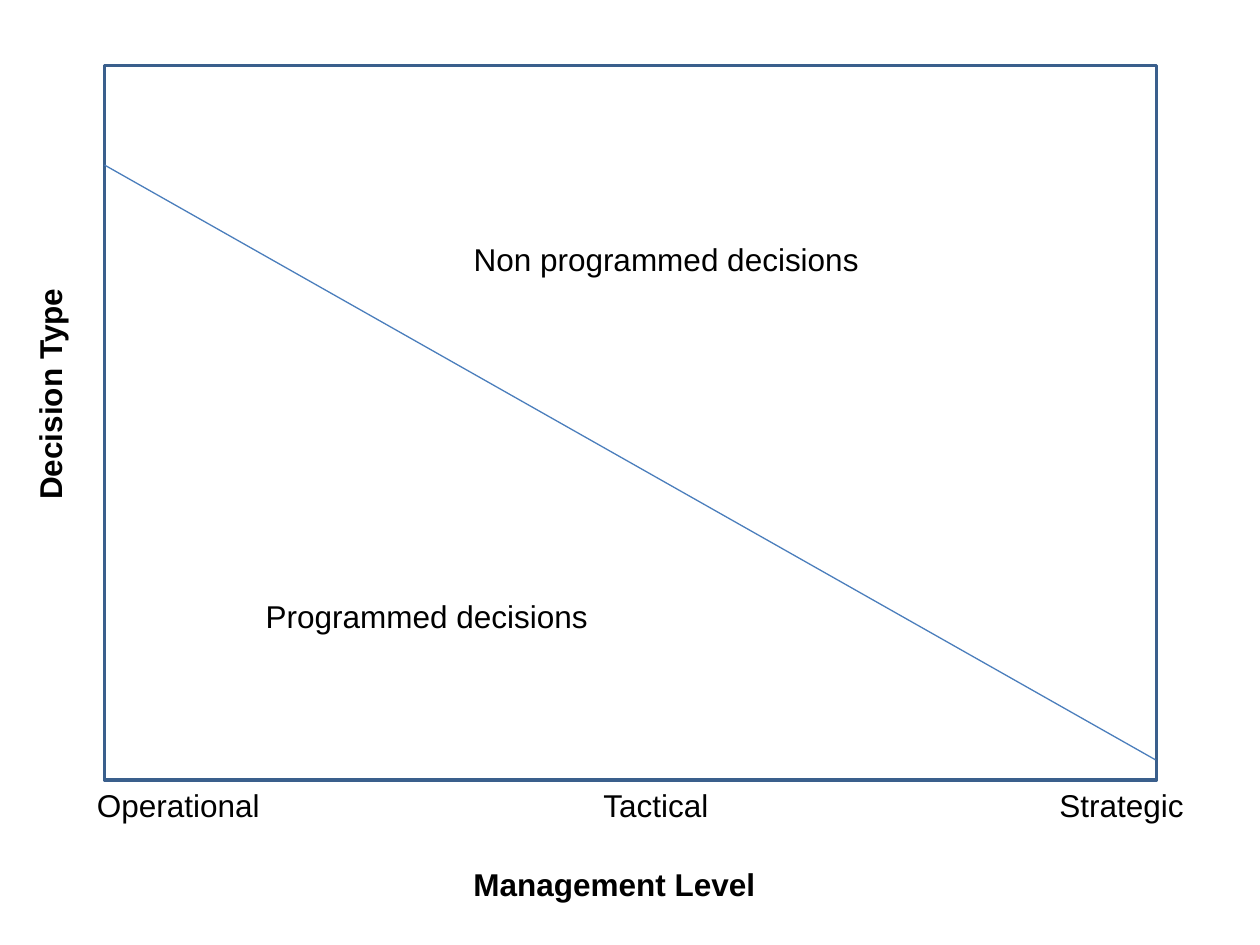
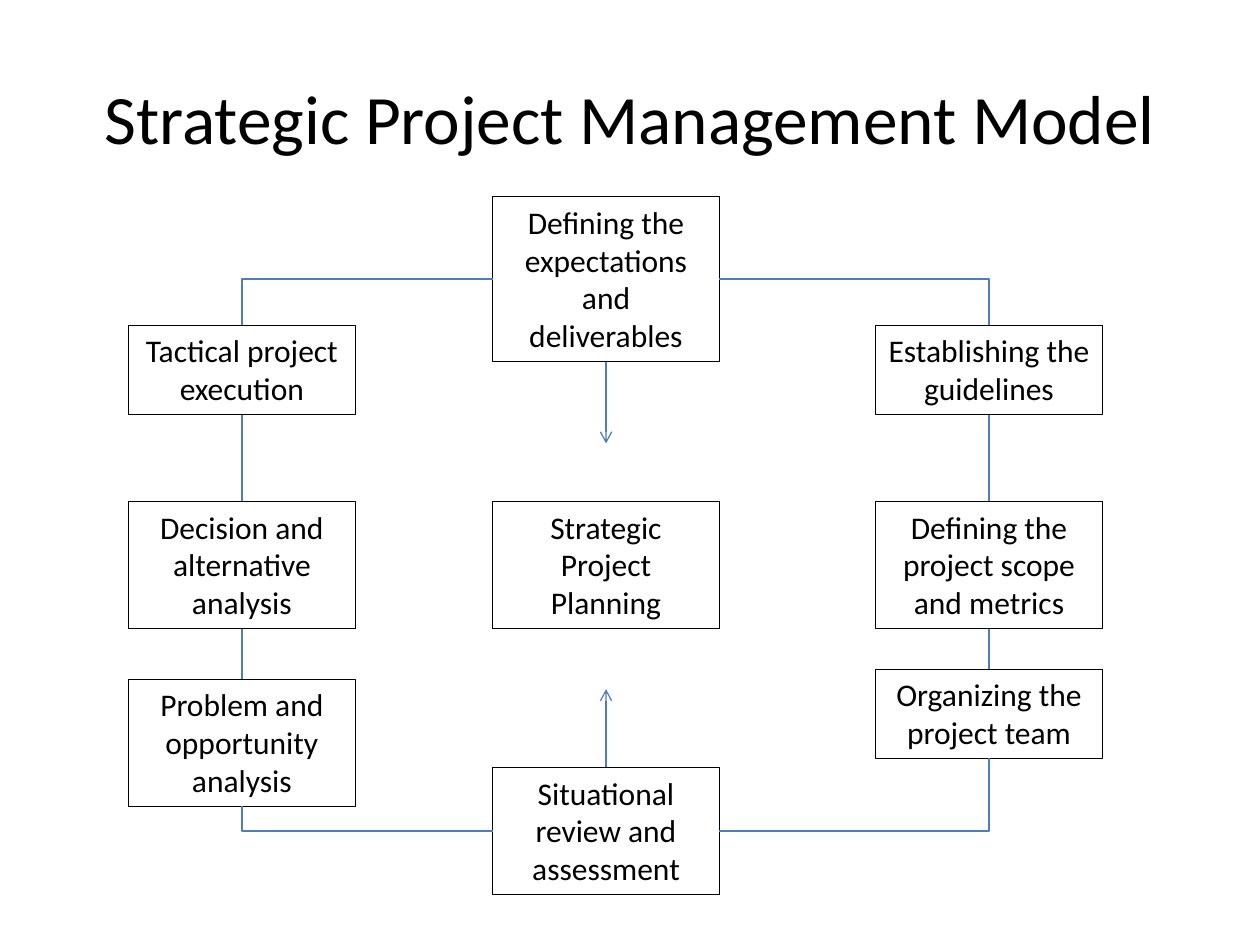
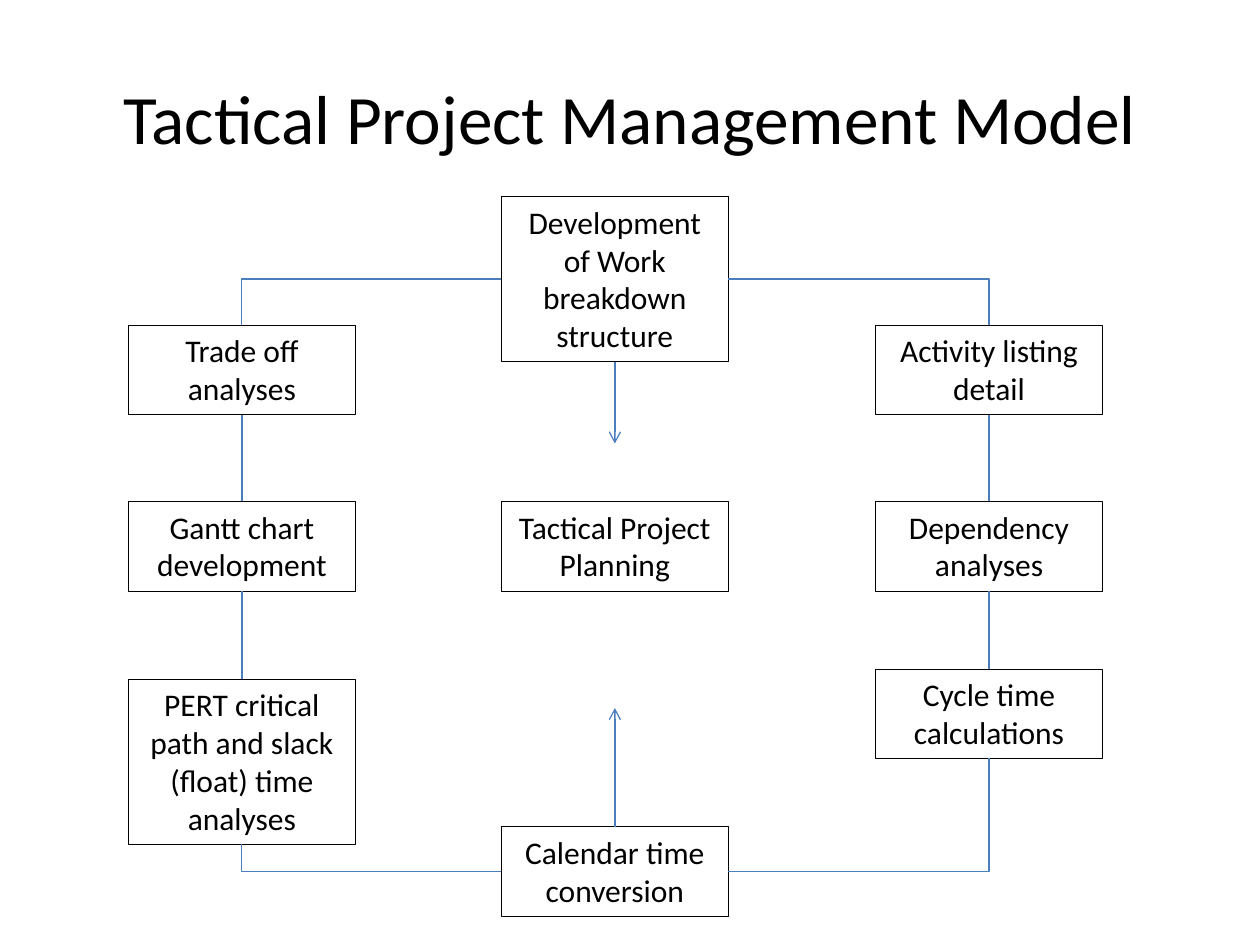
import lxml.etree
import pptx
import pptx.dml.color
import pptx.enum.shapes
import pptx.enum.text
import pptx.oxml.ns
import pptx.util

Inches = pptx.util.Inches
Pt = pptx.util.Pt
qn = pptx.oxml.ns.qn
KIND = pptx.enum.shapes.MSO_CONNECTOR
FIT = pptx.enum.text.MSO_AUTO_SIZE
ALIGN = pptx.enum.text.PP_ALIGN
TOP, LEFT, BOTTOM, RIGHT = range(4)


class Deck:
    """Hold the shared style and the current slide, and draw elements on it."""

    hues = {"text": "000000", "edge": "000000", "frame": "3A5F8C", "link": "4B7EBC"}
    fonts = {
        "title": {"name": "Calibri", "size": Pt(39.6)},
        "box": {"name": "Calibri", "size": Pt(18)},
        "label": {"name": "Arial", "size": Pt(18)},
        "axis": {"name": "Arial", "size": Pt(18), "bold": True},
    }

    def __init__(self):
        self.prs = pptx.Presentation()
        self.prs.slide_width, self.prs.slide_height = Inches(10), Inches(7.5)
        self.slide = None

    def hue(self, key):
        return pptx.dml.color.RGBColor.from_string(self.hues[key])

    def start(self, title=None):
        layout = self.prs.slide_layouts[5 if title else 6]
        self.slide = self.prs.slides.add_slide(layout)
        if title:
            head = self.slide.shapes.title
            spots = {"left": 0.5, "top": 0.3, "width": 9, "height": 1.25}
            for name, value in spots.items():
                setattr(head, name, Inches(value))
            self.fill(head, title, "title", ALIGN.CENTER, FIT.NONE)

    def fill(self, shape, text, style, align, fit=FIT.SHAPE_TO_FIT_TEXT, wrap=True):
        frame = shape.text_frame
        frame.text = text
        frame.auto_size, frame.word_wrap = fit, wrap
        para = frame.paragraphs[0]
        para.alignment = align
        font = para.runs[0].font
        for name, value in self.fonts[style].items():
            setattr(font, name, value)
        font.color.rgb = self.hue("text")

    def edge(self, shape, key, width):
        shape.line.color.rgb = self.hue(key)
        shape.line.width = Pt(width)

    def frame(self, *spot):
        kind = pptx.enum.shapes.MSO_SHAPE.RECTANGLE
        shape = self.slide.shapes.add_shape(kind, *map(Inches, spot))
        shape.shadow.inherit = False
        shape.fill.background()
        self.edge(shape, "frame", 2)

    def label(self, text, x, y, width, style="label", turn=0):
        shape = self.slide.shapes.add_textbox(*map(Inches, (x, y, width, 0.4)))
        self.fill(shape, text, style, ALIGN.LEFT, wrap=bool(turn))
        shape.rotation = turn

    def box(self, text, x, y, rows):
        spot = x, y, 1.8, 0.11 + 0.3 * rows
        shape = self.slide.shapes.add_textbox(*map(Inches, spot))
        self.fill(shape, text, "box", ALIGN.CENTER)
        self.edge(shape, "edge", 0.25)
        return shape

    def line(self, start, end, kind=KIND.STRAIGHT, arrow=False):
        link = self.slide.shapes.add_connector(kind, *start, *end)
        self.edge(link, "link", 0.75)
        props = link.element.spPr
        if arrow:
            tail = lxml.etree.SubElement(props.get_or_add_ln(), qn("a:tailEnd"))
            tail.set("type", "arrow")
        lxml.etree.SubElement(props, qn("a:effectLst"))
        return link

    def join(self, first, side, last, end, bent=False):
        link = self.line((0, 0), (0, 0), KIND.ELBOW if bent else KIND.STRAIGHT)
        if bent:
            link.element.spPr.find(qn("a:prstGeom")).set("prst", "bentConnector2")
        link.begin_connect(first, side)
        link.end_connect(last, end)

    def model(self, title, mid, tip, core, left, right):
        self.start(title)
        top, hub, base = [self.box(text, mid, y, rows) for text, y, rows in core]
        for side, x, steps in ((LEFT, 1.02, left), (RIGHT, 6.95, right)):
            boxes = [self.box(text, x, y, rows) for text, y, rows in steps]
            self.join(top, side, boxes[0], TOP, bent=True)
            for upper, lower in zip(boxes, boxes[1:]):
                self.join(upper, BOTTOM, lower, TOP)
            self.join(base, side, boxes[-1], BOTTOM, bent=True)
        x = hub.left + hub.width // 2
        self.line((x, top.top + top.height), (x, Inches(3.52)), arrow=True)
        self.line((x, base.top), (x, Inches(tip)), arrow=True)


def main():
    deck = Deck()
    deck.start()
    deck.frame(0.83, 0.52, 8.35, 5.67)
    deck.line(map(Inches, (0.83, 1.31)), map(Inches, (9.17, 6.03)))
    deck.label("Non programmed decisions", 3.66, 1.86, 3.29)
    deck.label("Programmed decisions", 2.01, 4.69, 2.78)
    for text, x, width in (
        ("Operational", 0.67, 1.51),
        ("Tactical", 4.69, 1.04),
        ("Strategic", 8.31, 1.2),
    ):
        deck.label(text, x, 6.19, width)
    deck.label("Management Level", 3.66, 6.82, 2.46, "axis")
    deck.label("Decision Type", -0.59, 2.88, 1.97, "axis", 270)

    deck.model(
        "Strategic Project Management Model", 3.91, 5.47,
        core=[
            ("Defining the expectations and deliverables", 1.56, 4),
            ("Strategic Project Planning", 3.98, 3),
            ("Situational review and assessment", 6.09, 3),
        ],
        left=[
            ("Tactical project execution", 2.58, 2),
            ("Decision and alternative analysis", 3.98, 3),
            ("Problem and opportunity analysis", 5.39, 3),
        ],
        right=[
            ("Establishing the guidelines", 2.58, 2),
            ("Defining the project scope and metrics", 3.98, 3),
            ("Organizing the project team", 5.31, 2),
        ],
    )
    deck.model(
        "Tactical Project Management Model", 3.98, 5.62,
        core=[
            ("Development of Work breakdown structure", 1.56, 4),
            ("Tactical Project Planning", 3.98, 2),
            ("Calendar time conversion", 6.56, 2),
        ],
        left=[
            ("Trade off analyses", 2.58, 2),
            ("Gantt chart development", 3.98, 2),
            ("PERT critical path and slack (float) time analyses", 5.39, 4),
        ],
        right=[
            ("Activity listing detail", 2.58, 2),
            ("Dependency analyses", 3.98, 2),
            ("Cycle time calculations", 5.31, 2),
        ],
    )
    deck.prs.save("out.pptx")


if __name__ == "__main__":
    main()
